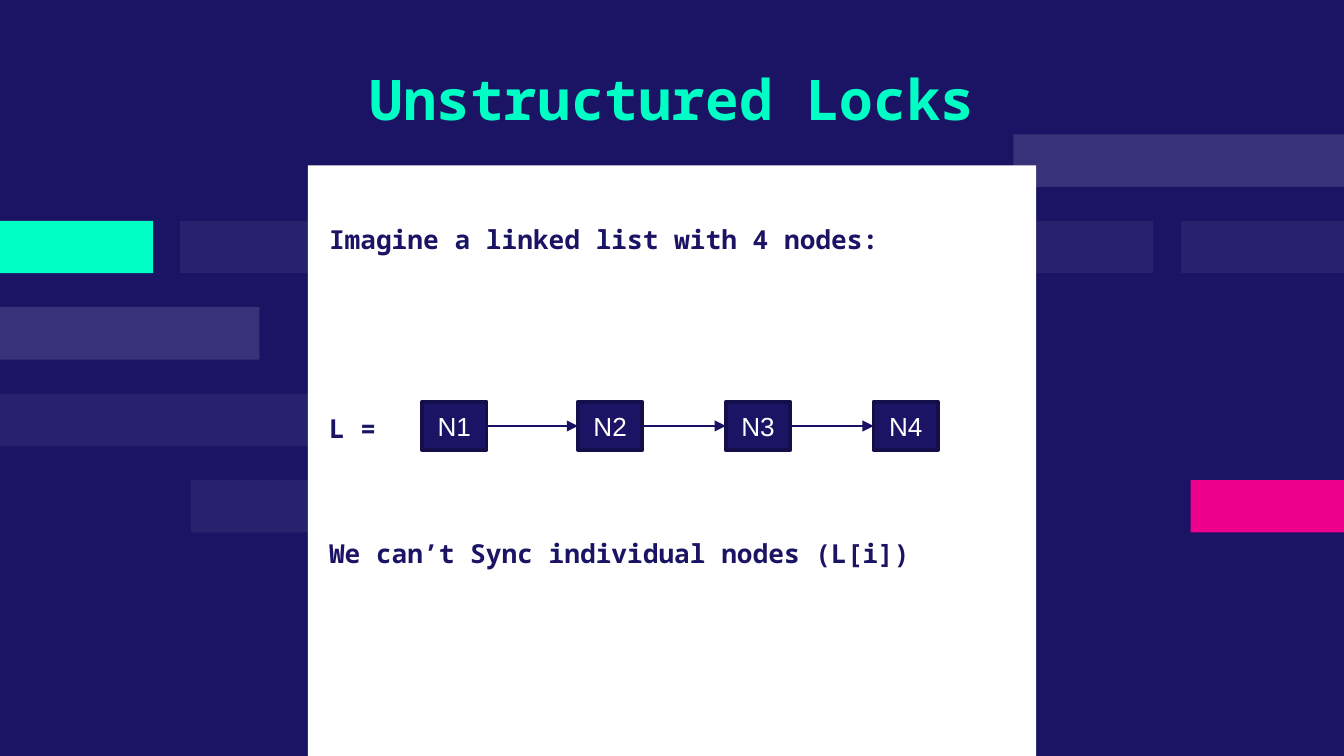
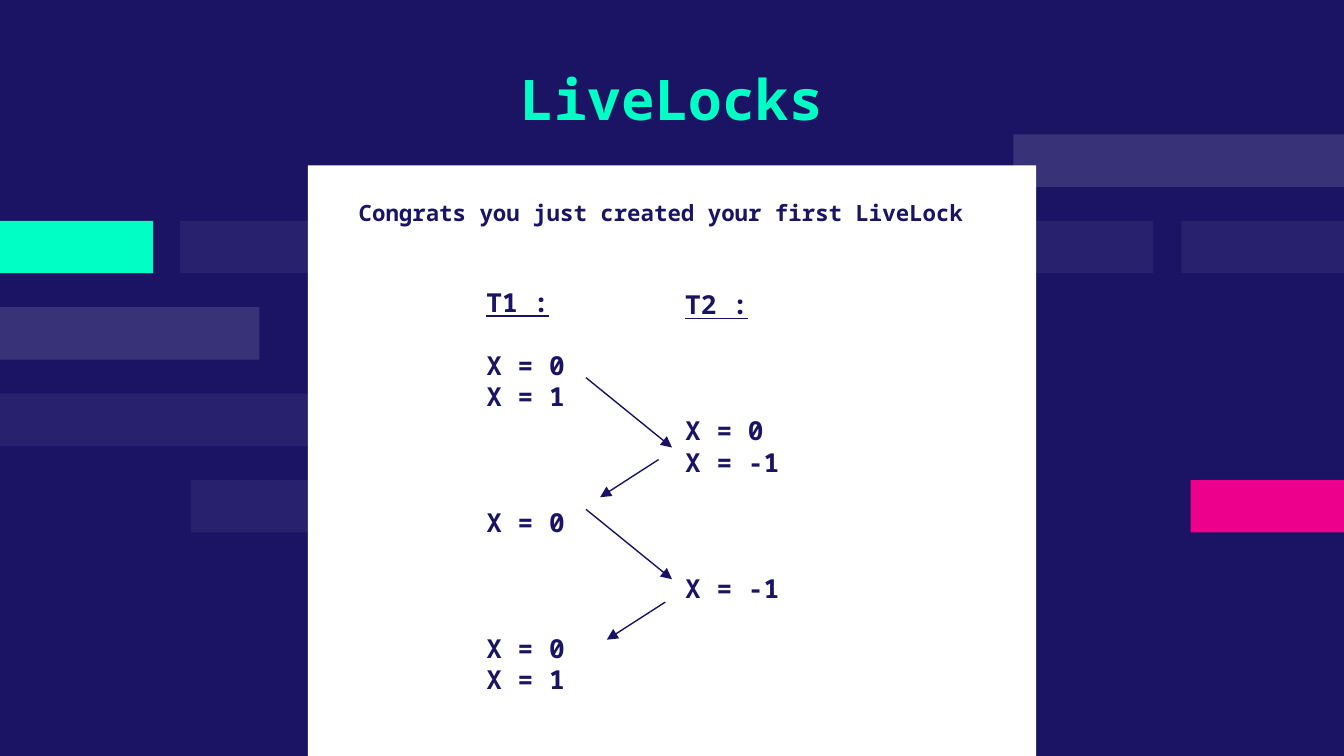
from itertools import pairwise

from pptx import Presentation
from pptx.dml.color import RGBColor
from pptx.enum.shapes import MSO_CONNECTOR as Connector, MSO_SHAPE as Preset
from pptx.enum.text import MSO_ANCHOR as Anchor, MSO_AUTO_SIZE as AutoSize, PP_ALIGN as Align
from pptx.oxml.ns import qn
from pptx.util import Inches, Pt
from lxml.etree import SubElement

NAVY = RGBColor(0x1B, 0x14, 0x64)
EDGE = RGBColor(0x14, 0x0F, 0x4A)
ARROW = RGBColor(0x19, 0x12, 0x64)
MINT = RGBColor(0x00, 0xFF, 0xC5)
PINK = RGBColor(0xEC, 0x00, 0x8C)
WHITE = RGBColor(0xFF, 0xFF, 0xFF)

WIDTH, HEIGHT = Inches(10), Inches(5.625)
COLUMNS, ROWS = 100, 56.25
MONO, SANS = "Noto Sans Mono", "Arial"
LINE_PITCH = 16.88
BAND_TOP, BAND_PITCH, BAND_HEIGHT = 10, 6.43, 3.9
TITLE_AREA = (14, 3.8, 72, 7.3)
PANEL_AREA = (22.9, 12.3, 54.2, 43.95)

TITLE_FONT = {"name": MONO, "size": Pt(30), "bold": True}
BODY_FONT = {"name": MONO, "size": Pt(14), "bold": True}
NOTE_FONT = {**BODY_FONT, "size": Pt(12)}
HEAD_FONT = {**BODY_FONT, "underline": True}
NODE_FONT = {"name": SANS, "size": Pt(14)}

BANDS = [
    (2, 0, 19.3, WHITE, 13),
    (1, 13.4, 12.1, WHITE, 6),
    (3, 0, 24.6, WHITE, 6),
    (1, 0, 11.4, MINT, 100),
    (4, 14.2, 12.1, WHITE, 6),
    (4, 88.6, 11.4, PINK, 100),
    (1, 87.9, 12.1, WHITE, 6),
    (1, 59.9, 25.9, WHITE, 6),
    (0, 75.4, 24.6, WHITE, 13),
]


def area(left, top, width, height):
    across, down = WIDTH / COLUMNS, HEIGHT / ROWS
    return [round(n) for n in (left * across, top * down, width * across, height * down)]


class SlideBuilder:
    def __init__(self):
        self.deck = Presentation()
        self.deck.slide_width, self.deck.slide_height = WIDTH, HEIGHT
        self.layout = self.deck.slide_layouts.get_by_name("Title Only")
        fill = self.deck.slide_master.background.fill
        fill.solid()
        fill.fore_color.rgb = NAVY
        for holder in list(self.layout.placeholders):
            if holder.placeholder_format.idx:
                holder.element.getparent().remove(holder.element)
        self.slide = None

    def place(self, shape, place):
        for name, value in zip(("left", "top", "width", "height"), area(*place)):
            setattr(shape, name, value)

    def new_slide(self, title):
        first = self.slide is None
        self.slide = self.deck.slides.add_slide(self.layout)
        if first:
            self.decorate_layout()
        holder = self.slide.shapes.title
        self.place(holder, TITLE_AREA)
        frame = holder.text_frame
        frame.auto_size = AutoSize.NONE
        frame.vertical_anchor = Anchor.TOP
        self.margins(frame, 0.1)
        self.add_span(frame.paragraphs[0], title, TITLE_FONT, MINT, Align.CENTER)

    def decorate_layout(self):
        blocks = [
            self.block((left, BAND_TOP + row * BAND_PITCH, width, BAND_HEIGHT), color, opacity)
            for row, left, width, color, opacity in BANDS
        ]
        blocks.append(self.block(PANEL_AREA, WHITE))
        for number, block in enumerate(blocks, 101):
            block.element.nvSpPr.cNvPr.id = number
            self.layout.shapes.element.append(block.element)

    def block(self, place, color, opacity=100):
        shape = self.slide.shapes.add_shape(Preset.RECTANGLE, *area(*place))
        shape.shadow.inherit = False
        shape.fill.solid()
        shape.fill.fore_color.rgb = color
        shape.line.fill.background()
        if opacity < 100:
            shade = shape.element.spPr.find(qn("a:solidFill")).find(qn("a:srgbClr"))
            SubElement(shade, qn("a:alpha"), val=str(opacity * 1000))
        return shape

    def margins(self, frame, vertical):
        frame.margin_top = frame.margin_bottom = Inches(vertical)
        frame.margin_left = frame.margin_right = Inches(0.1)

    def add_span(self, para, text, font, color, align=Align.LEFT):
        para.alignment = align
        span = para.add_run()
        span.text = text
        for name, value in font.items():
            setattr(span.font, name, value)
        span.font.color.rgb = color

    def text(self, place, lines, vertical=0.1):
        box = self.slide.shapes.add_textbox(*area(*place))
        frame = box.text_frame
        frame.word_wrap = True
        self.margins(frame, vertical)
        for index, (gap, words, font) in enumerate(lines):
            para = frame.add_paragraph() if index else frame.paragraphs[0]
            para.space_before = Pt(round(gap * LINE_PITCH, 2))
            self.add_span(para, words, font, NAVY)

    def node(self, place, label):
        shape = self.block(place, NAVY)
        shape.line.color.rgb = EDGE
        shape.line.width = Pt(2)
        shape.text_frame.vertical_anchor = Anchor.MIDDLE
        self.add_span(shape.text_frame.paragraphs[0], label, NODE_FONT, WHITE, Align.CENTER)
        return shape

    def arrow(self, start=(0, 0), end=(0, 0)):
        ends = area(*start, *end)
        line = self.slide.shapes.add_connector(Connector.STRAIGHT, *ends)
        line.line.color.rgb = ARROW
        line.line.width = Pt(0.75)
        SubElement(line.element.spPr.find(qn("a:ln")), qn("a:tailEnd"), type="triangle")
        SubElement(line.element.spPr, qn("a:effectLst"))
        return line

    def link(self, source, target):
        line = self.arrow()
        line.begin_connect(source, 3)
        line.end_connect(target, 1)

    def thread(self, place, heading, steps):
        lines = [(0, heading, HEAD_FONT)]
        lines += [(gap, words, BODY_FONT) for gap, words in steps]
        self.text(place, lines, 0.05)


builder = SlideBuilder()

builder.new_slide("Unstructured Locks")
builder.text((23.5, 15.6, 53, 31.8), [
    (0, "Imagine a linked list with 4 nodes:", BODY_FONT),
    (5, "L =", BODY_FONT),
    (3, "We can’t Sync individual nodes (L[i])", BODY_FONT),
])
nodes = [
    builder.node((left, 29.9, 4.8, 3.6), f"N{number}")
    for number, left in enumerate((31.4, 43, 54, 65), 1)
]
for source, target in pairwise(nodes):
    builder.link(source, target)

builder.new_slide("LiveLocks")
builder.thread((35.2, 20.8, 14.8, 34), "T1 :", [
    (1, "X = 0"), (0, "X = 1"), (3, "X = 0"), (3, "X = 0"), (0, "X = 1"),
])
builder.thread((50, 21, 14.8, 24.6), "T2 :", [
    (3, "X = 0"), (0, "X = -1"), (3, "X = -1"),
])
for top in (28.1, 37.9):
    builder.arrow((43.6, top), (50, top + 5.2))
for left, top in ((49, 34.2), (49.5, 44.8)):
    builder.arrow((left, top), (left - 4.35, top + 2.8))
builder.text((25.7, 13.8, 50.5, 4.4), [
    (0, "Congrats you just created your first LiveLock", NOTE_FONT),
])

builder.deck.save("out.pptx")
